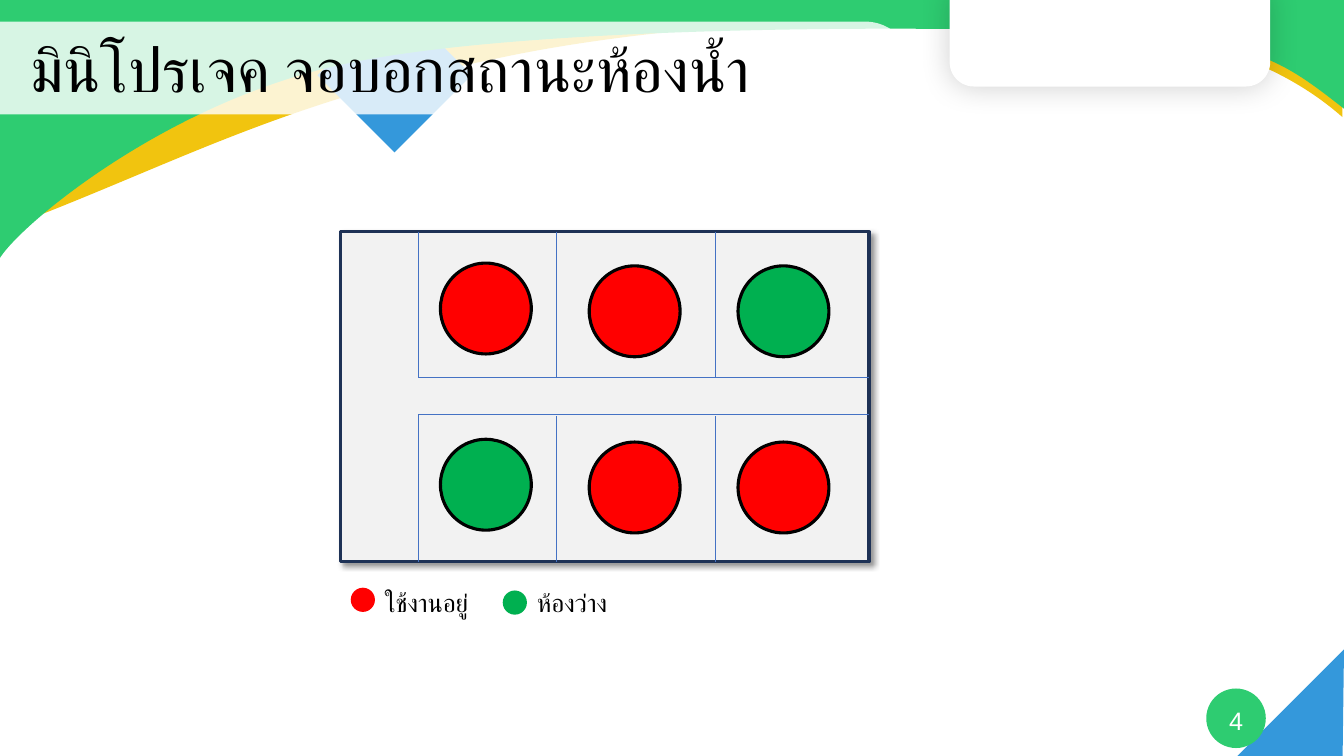
"""Build the slide that shows which rooms are in use."""
import pptx
import pptx.util
import pptx.dml.color
import pptx.enum.shapes
import pptx.enum.text
import pptx.oxml.ns
from lxml import etree

Cm, Pt = pptx.util.Cm, pptx.util.Pt
Kind = pptx.enum.shapes.MSO_SHAPE
Align = pptx.enum.text.PP_ALIGN
Fit = pptx.enum.text.MSO_AUTO_SIZE
Rgb = pptx.dml.color.RGBColor.from_string
qn = pptx.oxml.ns.qn
hues = {"green": "2ECC71", "blue": "3498DB", "gold": "F1C40F", "white": "FFFFFF",
        "black": "000000", "wall": "1E3256", "floor": "F2F2F2", "grid": "4472C4",
        "busy": "FF0000", "free": "00B050"}


def paint(shape, fill, edge=None):
    shape.shadow.inherit = False
    shape.fill.solid()
    shape.fill.fore_color.rgb = Rgb(hues[fill])
    if edge:
        shape.line.color.rgb = Rgb(hues[edge])
        shape.line.width = Pt(2.25)
    else:
        shape.line.fill.background()
    return shape


def write(shape, text, size, hue, align=Align.LEFT, middle=True):
    frame = shape.text_frame
    frame.word_wrap = True
    frame.auto_size = Fit.NONE if middle else Fit.SHAPE_TO_FIT_TEXT
    anchor = pptx.enum.text.MSO_ANCHOR
    frame.vertical_anchor = anchor.MIDDLE if middle else anchor.TOP
    para = frame.paragraphs[0]
    para.alignment = align
    run = para.add_run()
    run.text = text
    run.font.size = Pt(size)
    run.font.name = "Arial"
    run.font.color.rgb = Rgb(hues[hue])
    return para


deck = pptx.Presentation()
deck.slide_width, deck.slide_height = Cm(33.87), Cm(19.05)
slide = deck.slides.add_slide(deck.slide_layouts[5])
shapes = slide.shapes

wedge = shapes.add_shape(Kind.ISOSCELES_TRIANGLE, Cm(31.24), Cm(17.45), Cm(3.86), Cm(1.88))
wedge.rotation = 135
paint(wedge, "blue")
paint(shapes.add_shape(Kind.OVAL, Cm(30.4), Cm(17.35), Cm(1.5), Cm(1.5)), "green")

waves = [
    ("gold", (0.03, 5.79),
     [(4.14, 4.27), (6.99, 2.59), (12.4, 1.5),
      (16.81, 0.53), (23.01, 0.3), (26.57, 0.53),
      (30.15, 0.79), (32.33, 1.63), (33.83, 2.95)],
     [(33.87, -0.28), (-0.03, 0.03)]),
    ("green", (-0.03, 6.55),
     [(0.41, 5.74), (4.19, 2.54), (8.74, 1.6),
      (13.31, 0.64), (23.19, 0.64), (27.38, 0.81),
      (31.57, 1.02), (32.16, 1.4), (33.87, 2.74)],
     [(33.87, -0.3), (-0.03, 0)]),
]
for hue, start, curve, ends in waves:
    if hue == "green":
        paint(shapes.add_shape(Kind.DIAMOND, Cm(8), Cm(-0.05), Cm(3.89), Cm(3.89)), "blue")
    pen = shapes.build_freeform(Cm(start[0]), Cm(start[1]))
    pen.add_line_segments([(Cm(x), Cm(y)) for x, y in curve + ends], close=True)
    wave = paint(pen.convert_to_shape(), hue)
    legs = list(wave.element.iter(qn("a:lnTo")))[:len(curve)]
    for first in range(0, len(curve), 3):
        bend = etree.Element(qn("a:cubicBezTo"))
        legs[first].addprevious(bend)
        for leg in legs[first:first + 3]:
            bend.append(leg[0])
            leg.getparent().remove(leg)

tab = shapes.add_shape(Kind.ROUND_2_SAME_RECTANGLE, Cm(23.93), Cm(-0.23), Cm(8.08), Cm(2.41))
tab.rotation = 180
tab.adjustments[0] = 0.254
paint(tab, "white")
band = shapes.add_shape(Kind.ROUND_2_SAME_RECTANGLE, Cm(10.31), Cm(-9.78), Cm(2.34), Cm(22.99))
band.rotation = 90
band.adjustments[0] = 0.5
paint(band, "white")
tint = band.element.spPr.find(qn("a:solidFill"))[0]
etree.SubElement(tint, qn("a:alpha"), val="81000")

title = shapes.title
title.left, title.top, title.width, title.height = Cm(0.51), Cm(0.38), Cm(30.94), Cm(2.9)
title.element.getparent().append(title.element)
write(title, "มินิโปรเจค จอบอกสถานะห้องน้ำ", 44, "black").line_spacing = 0.9
page = shapes.add_textbox(Cm(30.4), Cm(17.65), Cm(1.5), Cm(1.02))
write(page, "4", 18, "white", Align.CENTER)

left, top, right, base = 8.59, 5.84, 21.9, 14.16
room = shapes.add_shape(Kind.ROUNDED_RECTANGLE, Cm(left), Cm(top), Cm(right - left), Cm(base - top))
room.adjustments[0] = 0
paint(room, "floor", "wall")
for shape, alpha, blur, dist, angle in ((tab, 19, 22, 0, 0), (room, 40, 4, 3, 45)):
    glow = etree.SubElement(shape.element.spPr.find(qn("a:effectLst")), qn("a:outerShdw"),
                            blurRad=str(Pt(blur)), dist=str(Pt(dist)),
                            dir=str(angle * 60000), algn="ctr", rotWithShape="0")
    shade = etree.SubElement(glow, qn("a:srgbClr"), val=hues["black"])
    etree.SubElement(shade, qn("a:alpha"), val=str(alpha * 1000))

rows = [(6.63, ("busy", "busy", "free")), (11.07, ("free", "busy", "busy"))]
for y, states in rows:
    for col, state in enumerate(states):
        drop = 0.07 if col else 0
        paint(shapes.add_shape(Kind.OVAL, Cm(11.1 + 3.75 * col), Cm(y + drop),
                               Cm(2.29), Cm(2.29)), state, "black")

stalls = (10.54, 14.02, 18.03)
upper, lower = 9.5, 10.44
walls = [(stalls[0], y, right, y) for y in (upper, lower)]
for x in stalls:
    gap = 0 if x == stalls[0] else 0.05
    walls += [(x, top, x, upper), (x, lower + gap, x, base)]
for wall in walls:
    line = shapes.add_connector(pptx.enum.shapes.MSO_CONNECTOR.STRAIGHT, *map(Cm, wall))
    line.line.color.rgb = Rgb(hues["grid"])
    line.line.width = Pt(0.5)
    etree.SubElement(line.element.spPr, qn("a:effectLst"))

for x, y, state, label in ((8.84, 14.81, "busy", "ใช้งานอยู่"), (12.67, 14.88, "free", "ห้องว่าง")):
    paint(shapes.add_shape(Kind.OVAL, Cm(x), Cm(y), Cm(0.61), Cm(0.61)), state)
    note = shapes.add_textbox(Cm(x + 0.61), Cm(14.68), Cm(3.84), Cm(1.02))
    write(note, label, 18, "black", middle=False)

deck.save("out.pptx")
